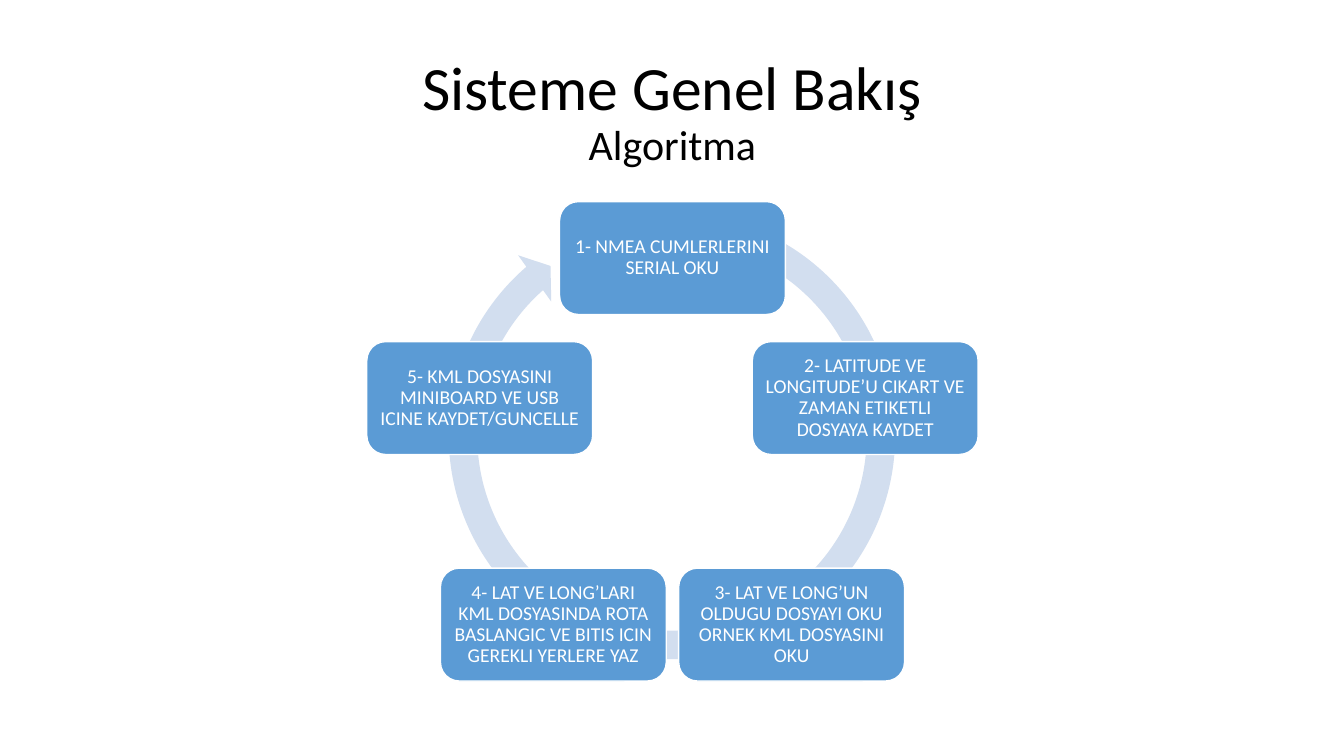
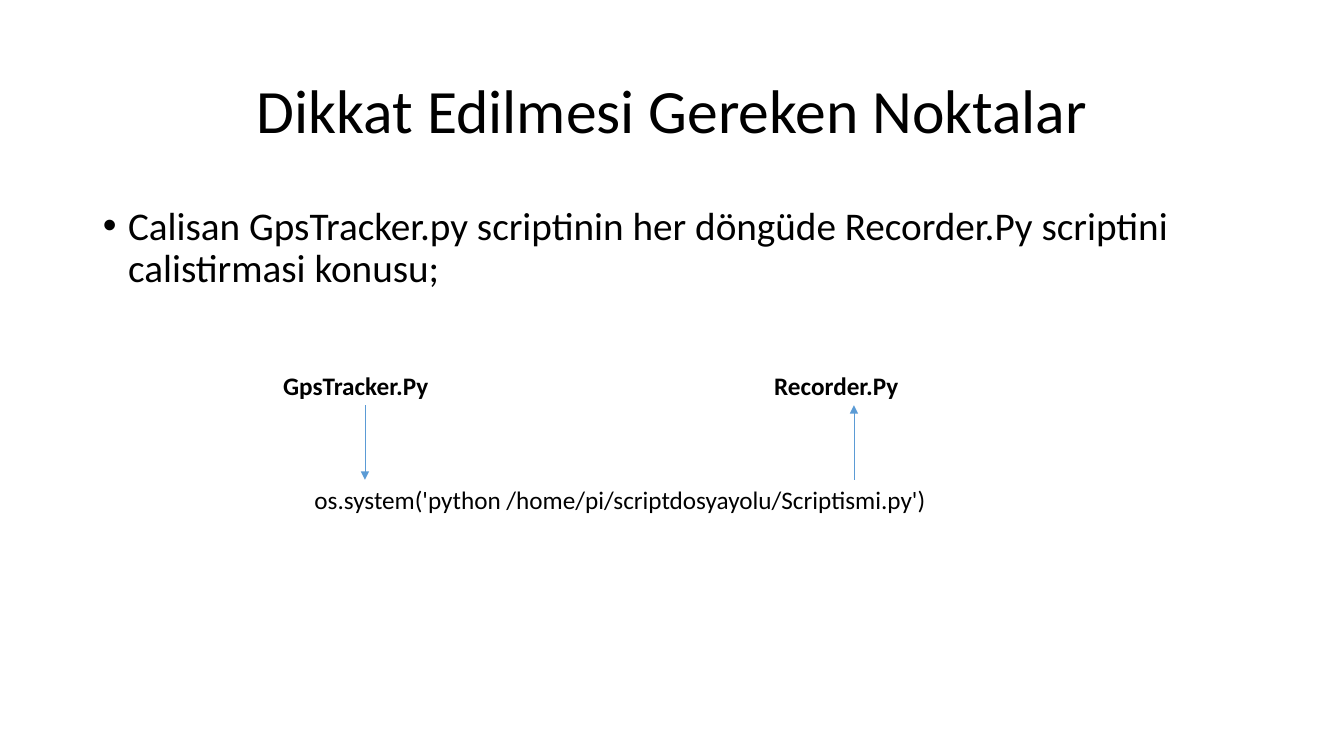
import math
from typing import NamedTuple

from lxml import etree
from pptx import Presentation
from pptx import util as u
from pptx.dml.color import RGBColor
from pptx.enum import shapes, text
from pptx.oxml import ns

FONT = "Calibri"
COLORS = {"ink": "000000", "paper": "FFFFFF", "step": "5B9BD5", "cycle": "D2DEEF"}

# Shared layout, in inches
MARGIN, CONTENT_WIDTH = 0.92, 11.5
TITLE_TOP, TITLE_HEIGHT = 0.4, 1.45
BODY_TOP, BODY_HEIGHT = 2, 4.76

# Step cycle
CENTER_X, CENTER_Y, RADIUS = 6.67, 4.57, 2.01
STEP_WIDTH, STEP_HEIGHT = 2.24, 1.12
RING_LEFT, RING_TOP, RING_SIZE = 4.31, 1.97, 4.71
RING_ADJUSTMENTS = (0.06, 3.31, 137.36, 174.1, 0.06)
STEPS = (
    "1- NMEA CUMLERLERINI SERIAL OKU",
    "2- LATITUDE VE LONGITUDE’U CIKART VE ZAMAN ETIKETLI DOSYAYA KAYDET",
    "3- LAT VE LONG’UN OLDUGU DOSYAYI OKU ORNEK KML DOSYASINI OKU",
    "4- LAT VE LONG’LARI KML DOSYASINDA ROTA BASLANGIC VE BITIS ICIN GEREKLI YERLERE YAZ",
    "5- KML DOSYASINI MINIBOARD VE USB ICINE KAYDET/GUNCELLE",
)

# Script call diagram
LABEL_TOP, LABEL_HEIGHT, COMMAND_TOP = 3.62, 0.4, 4.76


class Script(NamedTuple):
    name: str
    left: float
    width: float
    calls_command: bool


SCRIPTS = (
    Script("GpsTracker.Py", 2.71, 1.82, True),
    Script("Recorder.Py", 7.58, 1.78, False),
)


def rgb(name: str) -> RGBColor:
    return RGBColor.from_string(COLORS[name])


def place(shape, left: float, top: float, width: float, height: float) -> None:
    shape.left, shape.top = u.Inches(left), u.Inches(top)
    shape.width, shape.height = u.Inches(width), u.Inches(height)


def style_runs(paragraph, size: float, color: str = "ink", bold: bool = False) -> None:
    for run in paragraph.runs:
        run.font.name = FONT
        run.font.size = u.Pt(size)
        run.font.bold = bold
        run.font.color.rgb = rgb(color)


def add_titled_slide(prs, layout_index: int, title: str, subtitle: str = ""):
    slide = prs.slides.add_slide(prs.slide_layouts[layout_index])
    heading = slide.shapes.title
    place(heading, MARGIN, TITLE_TOP, CONTENT_WIDTH, TITLE_HEIGHT)
    frame = heading.text_frame
    frame.text = f"{title}\v{subtitle}" if subtitle else title
    frame.auto_size = text.MSO_AUTO_SIZE.NONE
    frame.vertical_anchor = text.MSO_ANCHOR.MIDDLE
    paragraph = frame.paragraphs[0]
    paragraph.alignment = text.PP_ALIGN.CENTER
    paragraph.line_spacing = 0.9
    style_runs(paragraph, 44)
    if subtitle:
        paragraph.runs[-1].font.size = u.Pt(30)
    return slide


def add_ring(slide) -> None:
    ring = slide.shapes.add_shape(
        shapes.MSO_SHAPE.CIRCULAR_ARROW, u.Inches(RING_LEFT), u.Inches(RING_TOP),
        u.Inches(RING_SIZE), u.Inches(RING_SIZE))
    for index, value in enumerate(RING_ADJUSTMENTS):
        ring.adjustments[index] = value
    ring.shadow.inherit = False
    ring.fill.solid()
    ring.fill.fore_color.rgb = rgb("cycle")
    ring.line.fill.background()


def add_step(slide, index: int, label: str) -> None:
    angle = 2 * math.pi * index / len(STEPS)
    left = CENTER_X + RADIUS * math.sin(angle) - STEP_WIDTH / 2
    top = CENTER_Y - RADIUS * math.cos(angle) - STEP_HEIGHT / 2
    step = slide.shapes.add_shape(
        shapes.MSO_SHAPE.ROUNDED_RECTANGLE, u.Inches(left), u.Inches(top),
        u.Inches(STEP_WIDTH), u.Inches(STEP_HEIGHT))
    step.shadow.inherit = False
    step.fill.solid()
    step.fill.fore_color.rgb = rgb("step")
    step.line.color.rgb = rgb("paper")
    step.line.width = u.Pt(1)
    frame = step.text_frame
    frame.text = label
    frame.word_wrap = True
    frame.vertical_anchor = text.MSO_ANCHOR.MIDDLE
    frame.margin_left = frame.margin_right = u.Inches(0.06)
    frame.margin_top = frame.margin_bottom = u.Inches(0.06)
    paragraph = frame.paragraphs[0]
    paragraph.alignment = text.PP_ALIGN.CENTER
    paragraph.line_spacing = 0.9
    style_runs(paragraph, 14, "paper")


def fill_body(slide, point: str) -> None:
    body = slide.placeholders[1]
    place(body, MARGIN, BODY_TOP, CONTENT_WIDTH, BODY_HEIGHT)
    frame = body.text_frame
    frame.text = point
    frame.auto_size = text.MSO_AUTO_SIZE.NONE
    paragraph = frame.paragraphs[0]
    properties = paragraph._p.get_or_add_pPr()
    properties.set("marL", str(u.Inches(0.25)))
    properties.set("indent", str(-u.Inches(0.25)))
    etree.SubElement(properties, ns.qn("a:buChar")).set("char", "•")
    paragraph.line_spacing = 0.9
    paragraph.space_before = u.Pt(0)
    style_runs(paragraph, 28)


def add_label(slide, label: str, left: float, top: float, width: float, bold: bool = False):
    box = slide.shapes.add_textbox(
        u.Inches(left), u.Inches(top), u.Inches(width), u.Inches(LABEL_HEIGHT))
    box.text_frame.text = label
    box.text_frame.word_wrap = True
    box.text_frame.auto_size = text.MSO_AUTO_SIZE.SHAPE_TO_FIT_TEXT
    style_runs(box.text_frame.paragraphs[0], 18, bold=bold)
    return box


def add_script(slide, script: Script) -> None:
    label = add_label(slide, script.name, script.left, LABEL_TOP, script.width, bold=True)
    middle = u.Inches(script.left + script.width / 2)
    ends = [u.Inches(LABEL_TOP + LABEL_HEIGHT), u.Inches(COMMAND_TOP)]
    start, stop = ends if script.calls_command else reversed(ends)
    arrow = slide.shapes.add_connector(
        shapes.MSO_CONNECTOR.STRAIGHT, middle, start, middle, stop)
    join = arrow.begin_connect if script.calls_command else arrow.end_connect
    join(label, 2)
    arrow.line.color.rgb = rgb("step")
    arrow.line.width = u.Pt(0.5)
    etree.SubElement(arrow.line._get_or_add_ln(), ns.qn("a:tailEnd")).set("type", "triangle")
    etree.SubElement(arrow._element.spPr, ns.qn("a:effectLst"))


def build_algorithm(prs) -> None:
    slide = add_titled_slide(prs, 5, "Sisteme Genel Bakış", "Algoritma")
    add_ring(slide)
    for index, label in enumerate(STEPS):
        add_step(slide, index, label)


def build_cautions(prs) -> None:
    slide = add_titled_slide(prs, 1, "Dikkat Edilmesi Gereken Noktalar")
    fill_body(slide, "Calisan GpsTracker.py scriptinin her döngüde Recorder.Py "
                     "scriptini calistirmasi konusu;")
    for script in SCRIPTS:
        add_script(slide, script)
    add_label(slide, "os.system('python /home/pi/scriptdosyayolu/Scriptismi.py')",
              3.02, COMMAND_TOP, 9.12)


def main() -> None:
    prs = Presentation()
    prs.slide_width, prs.slide_height = u.Inches(13.33), u.Inches(7.5)
    build_algorithm(prs)
    build_cautions(prs)
    prs.save("out.pptx")


if __name__ == "__main__":
    main()
